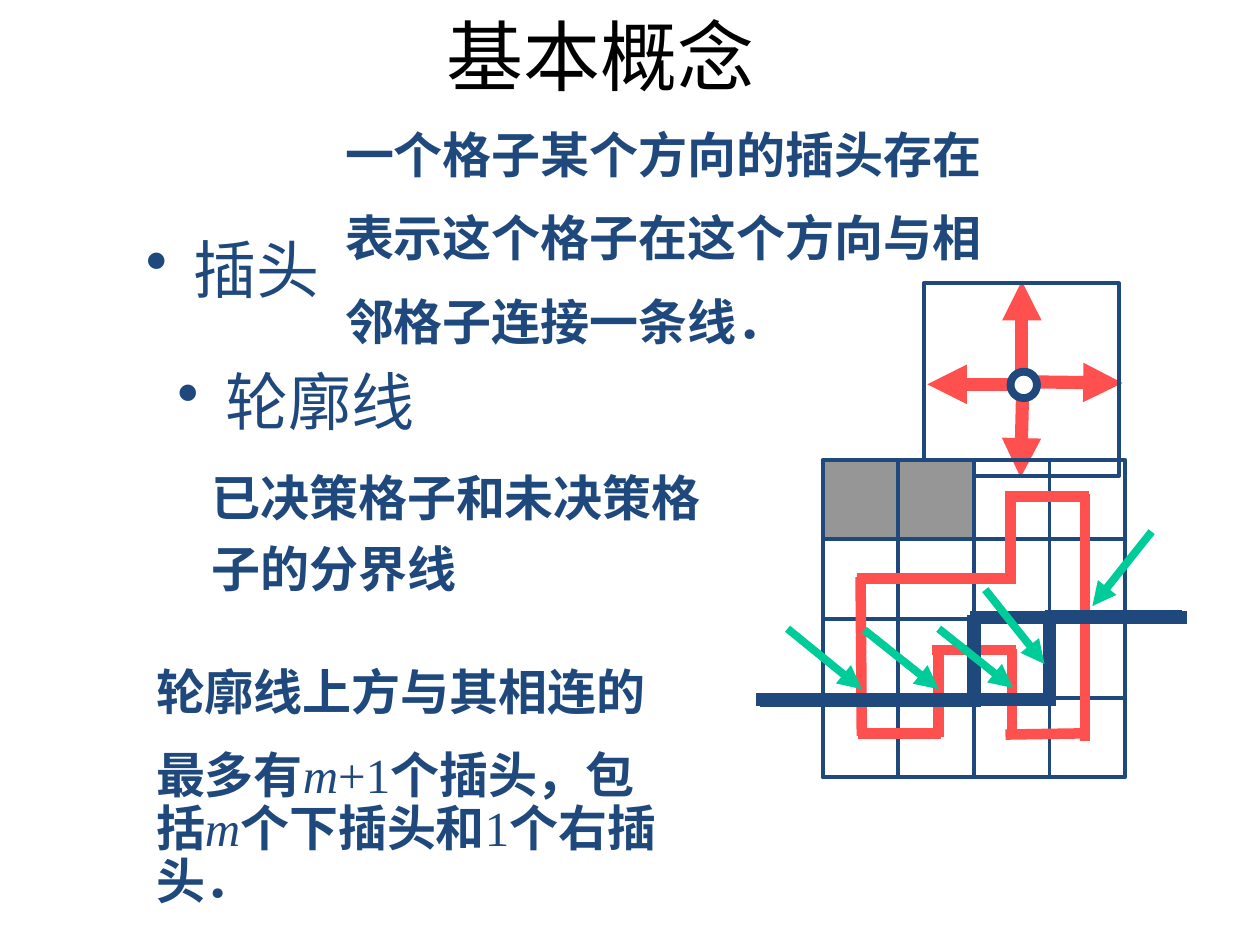
from lxml import etree
from pptx import Presentation
from pptx.dml.color import RGBColor as RGB
from pptx.enum.shapes import MSO_CONNECTOR as Conn, MSO_SHAPE as Shape
from pptx.enum.text import MSO_ANCHOR as Anchor, PP_ALIGN as Align
from pptx.oxml.ns import qn
from pptx.util import Inches, Pt

NAVY, RED, GREEN, GRAY = "1F497D", "FF5050", "00CC99", "969696"
BULLET = "•"

prs = Presentation()
prs.slide_width, prs.slide_height = Inches(10), Inches(7.5)
slide = prs.slides.add_slide(prs.slide_layouts[6])
shapes = slide.shapes


def color(fmt, code):
    """Give a fill or font color format the hex color."""
    fmt.rgb = RGB.from_string(code)


def line(ends, code, width, arrow=False):
    """Draw a line through ends (x1, y1, x2, y2), with an optional head at the end."""
    con = shapes.add_connector(Conn.STRAIGHT, *map(Inches, ends))
    con.line.width = Pt(width)
    con.line.fill.solid()
    color(con.line.fill.fore_color, code)
    if arrow:
        etree.SubElement(con.line._ln, qn("a:tailEnd"), type="triangle")
    etree.SubElement(con._element.spPr, qn("a:effectLst"))


# Plugs in the four directions of one cell
plugs = [
    (8.11, 2.99, 8.11, 2.23),
    (8.12, 2.95, 8.1, 3.79),
    (8.14, 3.03, 8.91, 3.04),
    (8.13, 3.05, 7.36, 3.05),
]
for ends in plugs:
    line(ends, RED, 7.5, arrow=True)

# Large cell, its center, and the 4 by 4 grid with two decided cells
cells = [
    (Shape.RECTANGLE, (7.33, 2.25, 1.55, 1.53), None, 2.25),
    (Shape.OVAL, (8.02, 2.95, 0.21, 0.21), "FFFFFF", 4.5),
]
for row in range(4):
    for col in range(4):
        spot = (6.53 + 0.6 * col, 3.65 + 0.63 * row, 0.6, 0.63)
        fill = GRAY if row == 0 and col < 2 else None
        cells.append((Shape.RECTANGLE, spot, fill, 2.25))
for kind, spot, fill, width in cells:
    cell = shapes.add_shape(kind, *map(Inches, spot))
    cell.shadow.inherit = False
    if fill:
        cell.fill.solid()
        color(cell.fill.fore_color, fill)
    else:
        cell.fill.background()
    color(cell.line.color, NAVY)
    cell.line.width = Pt(width)

# Closed loop through the grid
loop = [
    (6.83, 4.58, 6.84, 5.84),
    (6.8, 4.59, 8.06, 4.59),
    (8.02, 3.92, 8.02, 4.62),
    (7.98, 3.94, 8.64, 3.94),
    (8.61, 3.92, 8.61, 5.88),
    (7.98, 5.83, 8.64, 5.82),
    (8.03, 5.15, 8.03, 5.85),
    (7.4, 5.16, 8.06, 5.16),
    (7.45, 5.14, 7.45, 5.85),
    (6.81, 5.82, 7.47, 5.82),
]
for ends in loop:
    line(ends, RED, 6)

# Contour before and after one cell is decided
contour = [
    (6.03, 5.56, 7.75, 5.56),
    (7.7, 4.9, 9.42, 4.9),
    (7.73, 4.88, 7.73, 5.61),
    (6, 5.55, 8.38, 5.55),
    (8.29, 4.89, 9.38, 4.89),
    (8.33, 4.86, 8.33, 5.58),
]
for ends in contour:
    line(ends, NAVY, 7.5)

pointers = [
    (6.25, 4.99, 6.84, 5.47),
    (6.86, 5, 7.45, 5.47),
    (7.45, 4.99, 8.04, 5.46),
    (7.82, 4.68, 8.29, 5.27),
    (9.14, 4.22, 8.67, 4.81),
]
for ends in pointers:
    line(ends, GREEN, 4.5, arrow=True)

# Text: each paragraph is a list of (text, font changes)
title = {"size": Pt(44), "name": "Calibri"}
head = {"size": Pt(36), "name": "Calibri"}
body = {"size": Pt(28), "name": "Times New Roman", "bold": True}
plain = {"bold": False}
math = {"bold": False, "italic": True}
center = {"alignment": Align.CENTER}
tight, loose = {"line_spacing": 0.9}, {"line_spacing": 1.2}

boxes = [
    ((0.27, -0.19, 9, 1.25), title, "000000", center, [[("基本概念", {})]]),
    ((1.06, 1.78, 1.72, 0.75), head, NAVY, BULLET, [[("插头", {})]]),
    ((2.64, 0.99, 5.42, 1.85), body, NAVY, tight, [
        [("一个格子某个方向的插头存在", {})],
        [("表示这个格子在这个方向与相", {})],
        [("邻格子连接一条线．", {})],
    ]),
    ((1.31, 2.83, 2.27, 0.75), head, NAVY, BULLET, [[("轮廓线", {})]]),
    ((1.58, 3.57, 4.33, 1.22), body, NAVY, loose, [
        [("已决策格子和未决策格子的分界线", {})],
    ]),
    ((1.14, 5.25, 4.25, 2.03), body, NAVY, tight, [
        [("轮廓线上方与其相连的", {})],
        [("最多有", {}), ("m", math), ("+1", plain), ("个插头，包括", {}),
         ("m", math), ("个下插头和", {}), ("1", plain), ("个右插头．", {})],
    ]),
]
for spot, font, code, layout, paras in boxes:
    frame = shapes.add_textbox(*map(Inches, spot)).text_frame
    frame.word_wrap = True
    frame.vertical_anchor = Anchor.MIDDLE if font is title else Anchor.TOP
    for num, runs in enumerate(paras):
        para = frame.add_paragraph() if num else frame.paragraphs[0]
        if num:
            para.space_before = Pt(17.5)
        if layout == BULLET:
            props = para._p.get_or_add_pPr()
            props.set("marL", str(Inches(0.38)))
            props.set("indent", str(-Inches(0.38)))
            etree.SubElement(props, qn("a:buChar"), char=BULLET)
        else:
            for key, val in layout.items():
                setattr(para, key, val)
        for text, change in runs:
            run = para.add_run()
            run.text = text
            for key, val in {**font, **change}.items():
                setattr(run.font, key, val)
            color(run.font.color, code)

prs.save("out.pptx")
